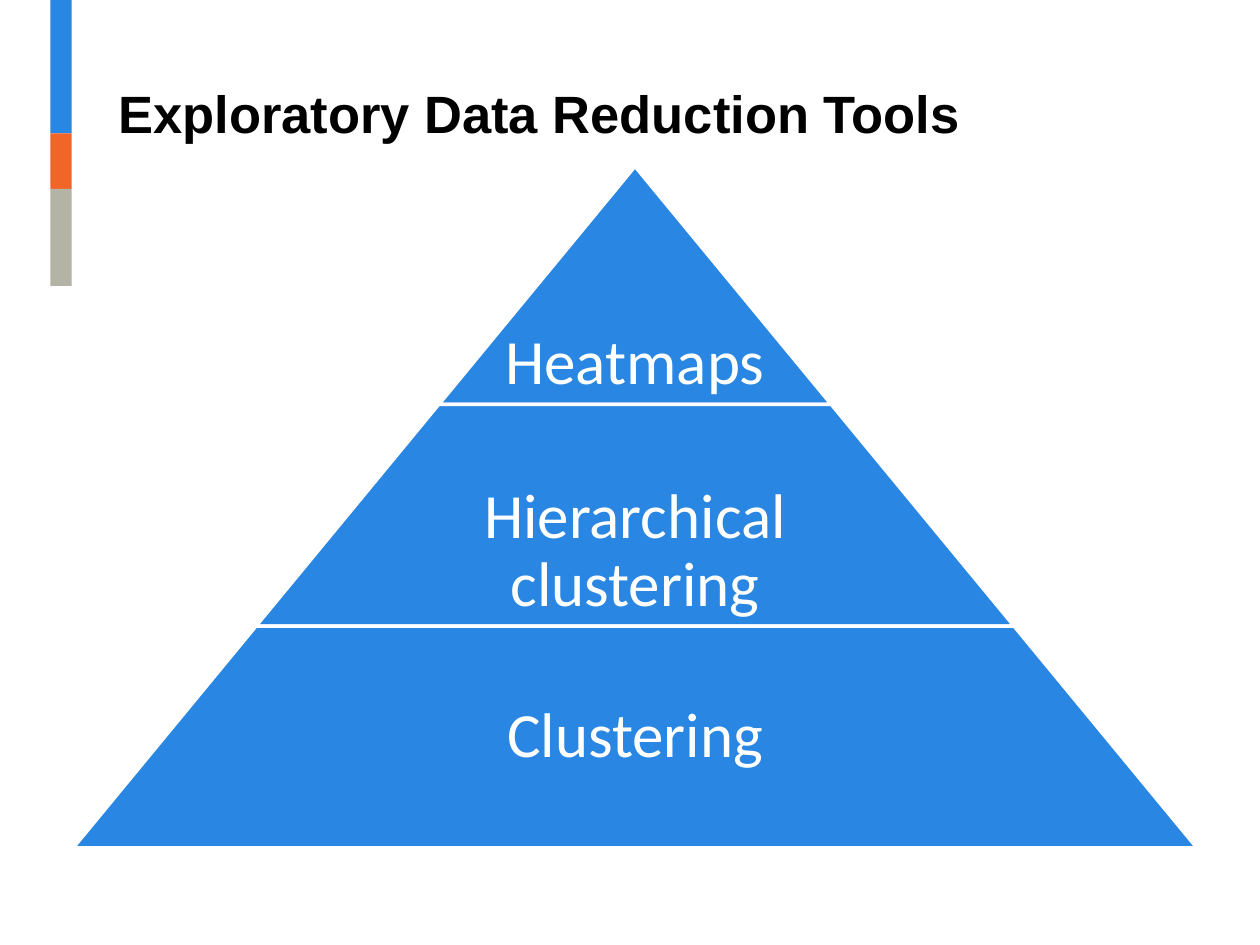
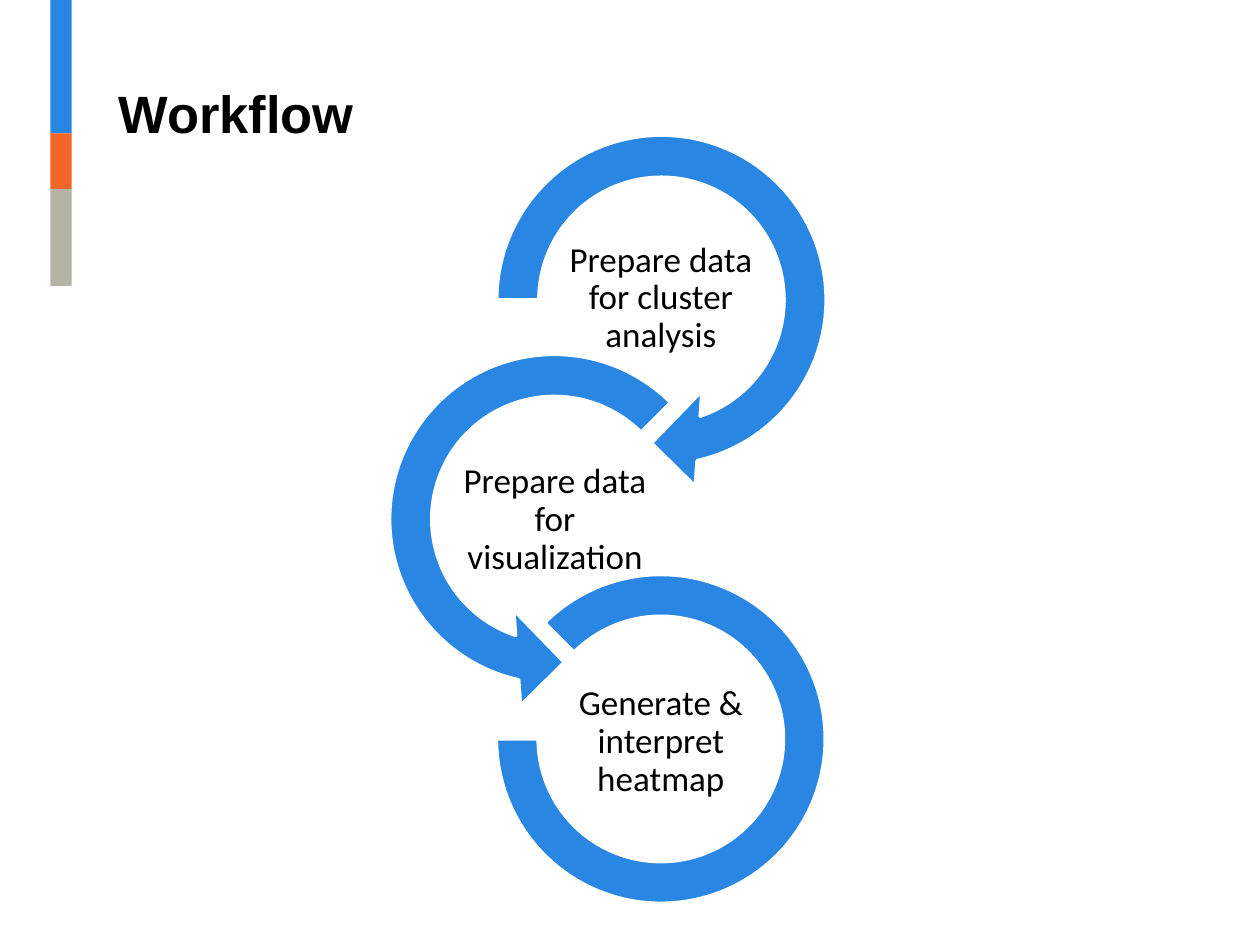
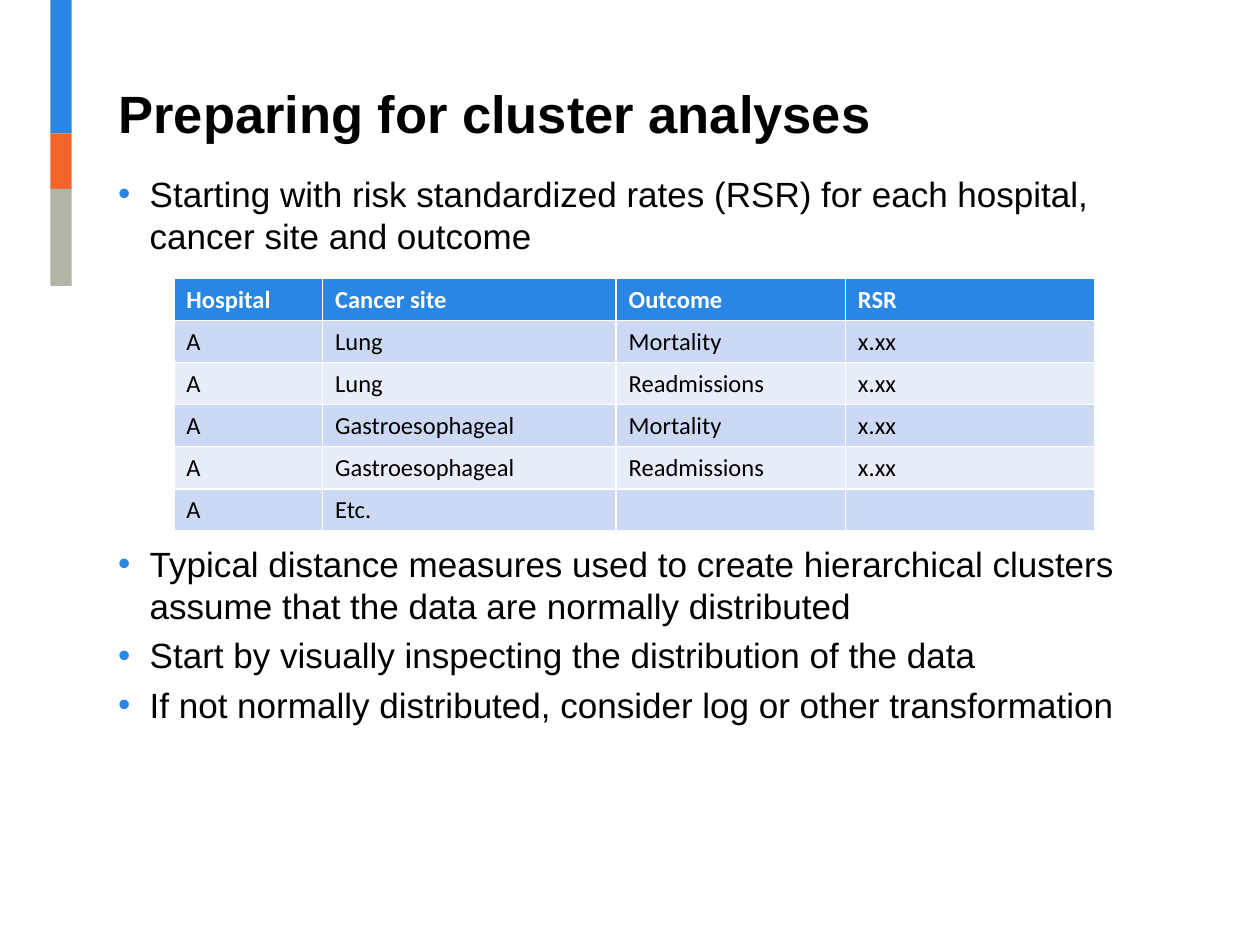
from dataclasses import dataclass

from lxml import etree
from pptx import Presentation
from pptx.dml.color import RGBColor
from pptx.enum.shapes import MSO_SHAPE
from pptx.enum.text import MSO_ANCHOR, MSO_AUTO_SIZE, PP_ALIGN
from pptx.oxml.ns import qn
from pptx.util import Inches, Pt

RECT = MSO_SHAPE.RECTANGLE
TRAPEZOID = MSO_SHAPE.TRAPEZOID
ARROW = MSO_SHAPE.CIRCULAR_ARROW
LEFT_ARROW = MSO_SHAPE.LEFT_CIRCULAR_ARROW
ARC = MSO_SHAPE.BLOCK_ARC
BOTTOM, MIDDLE, TOP = MSO_ANCHOR.BOTTOM, MSO_ANCHOR.MIDDLE, MSO_ANCHOR.TOP
LEFT, CENTER = PP_ALIGN.LEFT, PP_ALIGN.CENTER

COLORS = {
    "blue": "2986E2",
    "orange": "F26529",
    "gray": "B3B3A6",
    "white": "FFFFFF",
    "black": "000000",
    "band_dark": "CDD9F4",
    "band_light": "E8EDFA",
}
HEAD_FONT, DIAGRAM_FONT = "Arial", "Calibri"
TITLE_ONLY = 5


@dataclass
class Box:
    left: float
    top: float
    width: float
    height: float

    def emu(self) -> tuple:
        return tuple(Inches(v) for v in (self.left, self.top, self.width, self.height))


@dataclass
class Bar:
    height: float
    color: str


@dataclass
class Level:
    text: str
    height: float
    label_share: float  # label width as a share of the level's base
    anchor: MSO_ANCHOR


@dataclass
class Step:
    text: str
    kind: MSO_SHAPE
    ring: Box
    adjustments: tuple
    label_left: float


BARS = [Bar(1.06, "blue"), Bar(0.44, "orange"), Bar(0.77, "gray")]

LEVELS = [
    Level("Heatmaps", 1.89, 1, BOTTOM),
    Level("Hierarchical clustering", 1.76, 0.65, BOTTOM),
    Level("Clustering", 1.76, 0.65, MIDDLE),
]

STEPS = [
    Step("Prepare data for cluster analysis", ARROW, Box(3.73, 0.86, 3.04, 3.04),
         (0.11, 11.42, 45, 108, 0.125), 4.4),
    Step("Prepare data for visualization", LEFT_ARROW, Box(2.88, 2.6, 3.04, 3.04),
         (0.11, 11.42, 63, 189, 0.125), 3.56),
    Step("Generate & interpret heatmap", ARC, Box(3.94, 4.56, 2.61, 2.61),
         (135, 108, 0.127), 4.4),
]

COLUMN_WIDTHS = [1.18, 2.33, 1.82, 1.98]
ROWS = [
    ["Hospital", "Cancer site", "Outcome", "RSR"],
    ["A", "Lung", "Mortality", "x.xx"],
    ["A", "Lung", "Readmissions", "x.xx"],
    ["A", "Gastroesophageal", "Mortality", "x.xx"],
    ["A", "Gastroesophageal", "Readmissions", "x.xx"],
    ["A", "Etc.", "", ""],
]


# Shared helpers
def rgb(name: str) -> RGBColor:
    return RGBColor.from_string(COLORS[name])


def add_run(p, text: str, font: str, size: float, color: str, bold: bool = False) -> None:
    r = p.add_run()
    r.text = text
    r.font.name = font
    r.font.size = Pt(size)
    r.font.bold = bold
    r.font.color.rgb = rgb(color)


def add_filled(slide, kind, box: Box, color: str, adjustments=(), outlined=False):
    sp = slide.shapes.add_shape(kind, *box.emu())
    sp.shadow.inherit = False
    sp.fill.solid()
    sp.fill.fore_color.rgb = rgb(color)
    if outlined:
        sp.line.color.rgb = rgb("white")
        sp.line.width = Pt(2)
    else:
        sp.line.fill.background()
    for i, value in enumerate(adjustments):
        sp.adjustments[i] = value


def add_label(slide, box: Box, text: str, size: float, color: str,
              anchor: MSO_ANCHOR, inset: float) -> None:
    tf = slide.shapes.add_textbox(*box.emu()).text_frame
    tf.word_wrap = True
    tf.vertical_anchor = anchor
    tf.margin_left = tf.margin_right = tf.margin_top = tf.margin_bottom = Inches(inset)
    p = tf.paragraphs[0]
    p.alignment = CENTER
    p.line_spacing = 0.9
    add_run(p, text, DIAGRAM_FONT, size, color)


def add_bullets(slide, box: Box, items: list) -> None:
    tf = slide.shapes.add_textbox(*box.emu()).text_frame
    tf.word_wrap = True
    tf.vertical_anchor = TOP
    for i, text in enumerate(items):
        p = tf.paragraphs[0] if i == 0 else tf.add_paragraph()
        p.line_spacing = Pt(24)
        p.space_before = Pt(4 if i else 0)
        pPr = p._p.get_or_add_pPr()
        pPr.set("marL", str(Inches(0.25)))
        pPr.set("indent", str(-Inches(0.25)))
        clr = etree.SubElement(pPr, qn("a:buClr"))
        etree.SubElement(clr, qn("a:srgbClr"), val=COLORS["blue"])
        etree.SubElement(pPr, qn("a:buFont"), typeface=HEAD_FONT)
        etree.SubElement(pPr, qn("a:buChar"), char="•")
        add_run(p, text, HEAD_FONT, 20, "black")


def add_slide(prs, title: str):
    slide = prs.slides.add_slide(prs.slide_layouts[TITLE_ONLY])
    top = 0
    for bar in BARS:
        add_filled(slide, RECT, Box(0.4, top, 0.17, bar.height), bar.color)
        top += bar.height
    sp = slide.shapes.title
    sp.left, sp.top, sp.width, sp.height = Box(0.84, 0.33, 8.4, 0.86).emu()
    tf = sp.text_frame
    tf.word_wrap = True
    tf.auto_size = MSO_AUTO_SIZE.NONE
    tf.vertical_anchor = BOTTOM
    p = tf.paragraphs[0]
    p.alignment = LEFT
    add_run(p, title, HEAD_FONT, 30, "black", bold=True)
    return slide


# Slides
def build_pyramid(prs) -> None:
    slide = add_slide(prs, "Exploratory Data Reduction Tools")
    center, apex, base = 5.04, 1.32, 8.92
    slope = base / sum(level.height for level in LEVELS)
    depth = 0
    for level in LEVELS:
        top = apex + depth
        depth += level.height
        width = slope * depth
        add_filled(slide, TRAPEZOID, Box(center - width / 2, top, width, level.height),
                   "blue", (slope / 2 * level.height / min(width, level.height),), True)
        label = width * level.label_share
        add_label(slide, Box(center - label / 2, top, label, level.height),
                  level.text, 36, "white", level.anchor, 0.05)


def build_workflow(prs) -> None:
    slide = add_slide(prs, "Workflow")
    for i, step in enumerate(STEPS):
        add_filled(slide, step.kind, step.ring, "blue", step.adjustments, True)
        add_label(slide, Box(step.label_left, 1.95 + 1.76 * i, 1.69, 0.84),
                  step.text, 20, "black", MIDDLE, 0.01)


def add_rates_table(slide) -> None:
    row_height = 0.33
    box = Box(1.38, 2.21, sum(COLUMN_WIDTHS), row_height * len(ROWS))
    table = slide.shapes.add_table(len(ROWS), len(COLUMN_WIDTHS), *box.emu()).table
    for column, width in zip(table.columns, COLUMN_WIDTHS):
        column.width = Inches(width)
    for i, row in enumerate(ROWS):
        header = i == 0
        fill = "blue" if header else ("band_dark" if i % 2 else "band_light")
        for j, text in enumerate(row):
            cell = table.cell(i, j)
            cell.fill.solid()
            cell.fill.fore_color.rgb = rgb(fill)
            p = cell.text_frame.paragraphs[0]
            if text:
                add_run(p, text, DIAGRAM_FONT, 14, "white" if header else "black", header)
            else:
                # Keeps an empty cell as low as the others
                etree.SubElement(p._p, qn("a:endParaRPr"), sz="1400")


def build_preparation(prs) -> None:
    slide = add_slide(prs, "Preparing for cluster analyses")
    add_bullets(slide, Box(0.84, 1.32, 8.4, 0.8), [
        "Starting with risk standardized rates (RSR) for each hospital, "
        "cancer site and outcome",
    ])
    add_bullets(slide, Box(0.84, 4.26, 8.4, 2.01), [
        "Typical distance measures used to create hierarchical clusters "
        "assume that the data are normally distributed",
        "Start by visually inspecting the distribution of the data",
        "If not normally distributed, consider log or other transformation",
    ])
    add_rates_table(slide)


def main() -> None:
    prs = Presentation()
    prs.slide_width, prs.slide_height = Inches(10), Inches(7.5)
    build_pyramid(prs)
    build_workflow(prs)
    build_preparation(prs)
    prs.save("out.pptx")


if __name__ == "__main__":
    main()
